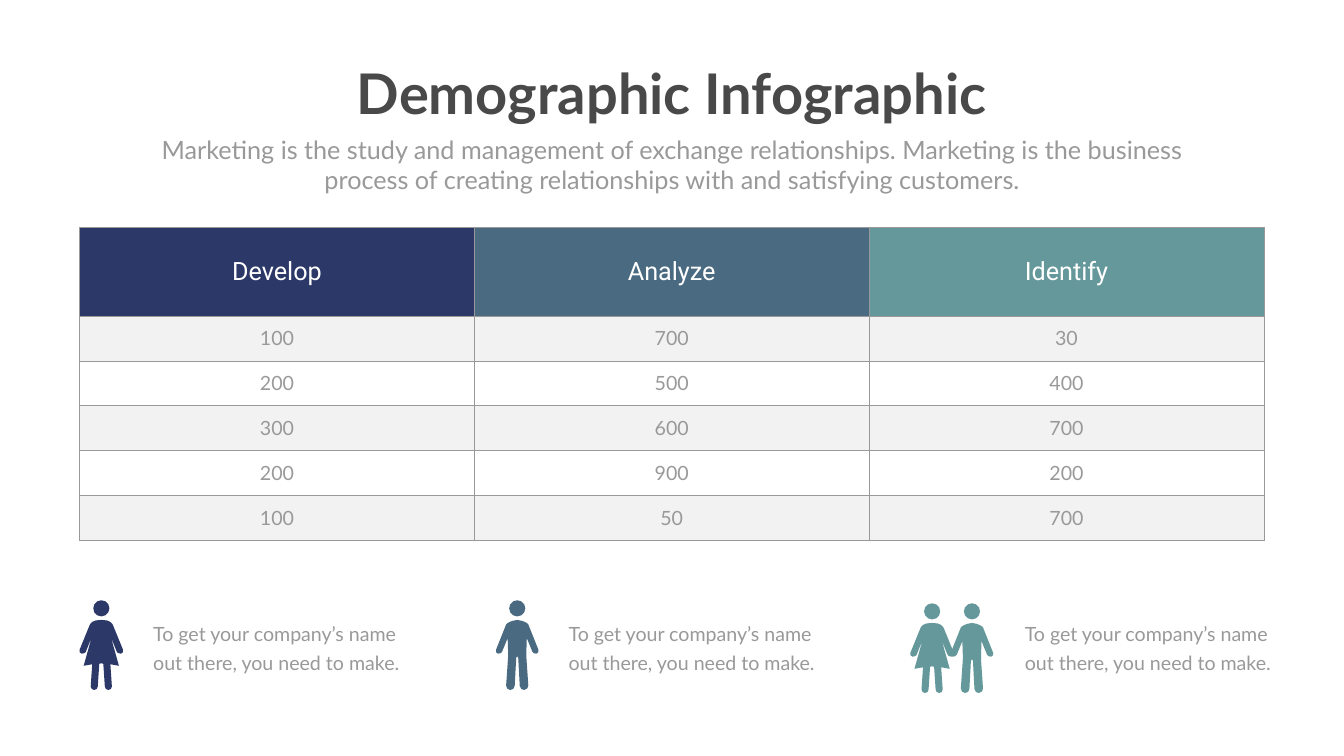
"""Build the demographic infographic slide: a table above three captioned figures."""
from dataclasses import dataclass

from lxml import etree
from pptx import Presentation
from pptx import util as u
from pptx.dml.color import RGBColor
from pptx.enum import shapes, text
from pptx.oxml import ns


@dataclass(frozen=True)
class Theme:
    dark: str = "494949"
    grey: str = "999999"
    white: str = "FFFFFF"
    band: str = "F2F2F2"
    accents: tuple = ("2C3867", "496A80", "65989B")
    font: str = "Lato"
    header_font: str = "Roboto"
    title: int = 80
    large: int = 36
    body: int = 28


MAN = [(0, 0), (.1, .02), (.17, .05), (.2, .07), (.22, .09), (.42, .59),
       (.42, .64), (.38, .67), (.33, .66), (.3, .63), (.19, .36), (.18, .66),
       (.18, .72), (.22, 1.3), (.2, 1.36), (.14, 1.39), (.08, 1.37),
       (.05, 1.31), (.02, .75), (0, .72)]
WOMAN = [(0, 0), (.11, .01), (.18, .04), (.21, .07), (.23, .1), (.43, .59),
         (.43, .64), (.39, .67), (.34, .66), (.31, .64), (.19, .34),
         (.35, .91), (.18, .88), (.21, 1.32), (.19, 1.37), (.14, 1.39),
         (.09, 1.37), (.07, 1.32), (.04, .87), (0, .86)]


class Deck:
    def __init__(self, prs, theme):
        self.theme = theme
        self.slide = prs.slides.add_slide(prs.slide_layouts[5])

    def put_text(self, tf, content, size, color, **options):
        style = {"font": self.theme.font, "bold": False,
                 "align": text.PP_ALIGN.CENTER, "spacing": None} | options
        p = tf.paragraphs[0]
        p.alignment = style["align"]
        if style["spacing"]:
            p.line_spacing = u.Pt(style["spacing"])
        r = p.add_run()
        r.text = content
        values = {"name": style["font"], "size": u.Pt(size), "bold": style["bold"]}
        for name, value in values.items():
            setattr(r.font, name, value)
        r.font.color.rgb = RGBColor.from_string(color)

    def title(self, content, box):
        sp = self.slide.shapes.title
        for name, value in zip(("left", "top", "width", "height"), box):
            setattr(sp, name, u.Inches(value))
        tf = sp.text_frame
        frame = {"word_wrap": False, "auto_size": text.MSO_AUTO_SIZE.NONE,
                 "vertical_anchor": text.MSO_ANCHOR.TOP}
        for name, value in frame.items():
            setattr(tf, name, value)
        self.put_text(tf, content, self.theme.title, self.theme.dark, bold=True)

    def textbox(self, content, box, size, **options):
        sp = self.slide.shapes.add_textbox(*map(u.Inches, box))
        sp.text_frame.word_wrap = True
        self.put_text(sp.text_frame, content, size, self.theme.grey, **options)

    def border(self, cell):
        tc_pr = cell._tc.get_or_add_tcPr()
        for side in ("lnL", "lnR", "lnT", "lnB"):
            ln = etree.SubElement(tc_pr, ns.qn(f"a:{side}"), w=str(u.Pt(1)))
            fill = etree.SubElement(ln, ns.qn("a:solidFill"))
            etree.SubElement(fill, ns.qn("a:srgbClr"), val=self.theme.grey)

    def table(self, rows, box, heights):
        t = self.theme
        table = self.slide.shapes.add_table(
            len(rows), len(rows[0]), *map(u.Inches, box)).table
        for name in ("first_row", "horz_banding"):
            setattr(table, name, False)
        for i, (row, height) in enumerate(zip(rows, heights)):
            table.rows[i].height = u.Inches(height)
            for j, value in enumerate(row):
                cell = table.cell(i, j)
                cell.vertical_anchor = text.MSO_ANCHOR.MIDDLE
                self.border(cell)
                color = (t.band if i % 2 else t.white) if i else t.accents[j]
                cell.fill.solid()
                cell.fill.fore_color.rgb = RGBColor.from_string(color)
                if i:
                    self.put_text(cell.text_frame, str(value), t.body, t.grey)
                else:
                    self.put_text(cell.text_frame, value, t.large, t.white,
                                  font=t.header_font)

    def paint(self, sp, color):
        sp.shadow.inherit = False
        sp.fill.solid()
        sp.fill.fore_color.rgb = RGBColor.from_string(color)
        sp.line.fill.background()

    def figures(self, people, top, color):
        group = self.slide.shapes.add_group_shape()
        for half, center in people:
            outline = half + [(-x, y) for x, y in reversed(half)]
            points = [(u.Inches(center + x), u.Inches(top + y)) for x, y in outline]
            builder = group.shapes.build_freeform(*points[0])
            builder.add_line_segments(points[1:])
            self.paint(builder.convert_to_shape(), color)
            head = (center - .16, top - .39, .32, .32)
            self.paint(group.shapes.add_shape(
                shapes.MSO_SHAPE.OVAL, *map(u.Inches, head)), color)


def main():
    prs = Presentation()
    prs.slide_width, prs.slide_height = u.Inches(26.66), u.Inches(15)
    theme = Theme()
    deck = Deck(prs, theme)

    deck.title("Demographic Infographic", (6.86, 1.12, 12.93, 1.45))
    deck.textbox("Marketing is the study and management of exchange relationships. "
                 "Marketing is the business process of creating relationships "
                 "with and satisfying customers.",
                 (2.92, 2.61, 20.82, 1.31), theme.large)

    rows = [("Develop", "Analyze", "Identify"), (100, 700, 30), (200, 500, 400),
            (300, 600, 700), (200, 900, 200), (100, 50, 700)]
    deck.table(rows, (1.58, 4.51, 23.49, 6.18), [1.76] + [.89] * 5)

    audiences = [(2.94, 12.3, [(WOMAN, 2.01)]),
                 (11.18, 12.3, [(MAN, 10.26)]),
                 (20.23, 12.36, [(MAN, 19.28), (WOMAN, 18.49)])]
    for (left, top, people), color in zip(audiences, theme.accents):
        deck.figures(people, top, color)
        deck.textbox("To get your company’s name out there, you need to make.",
                     (left, 12.2, 5.19, 1.19), theme.body,
                     align=text.PP_ALIGN.LEFT, spacing=40.8)

    prs.save("out.pptx")


main()
